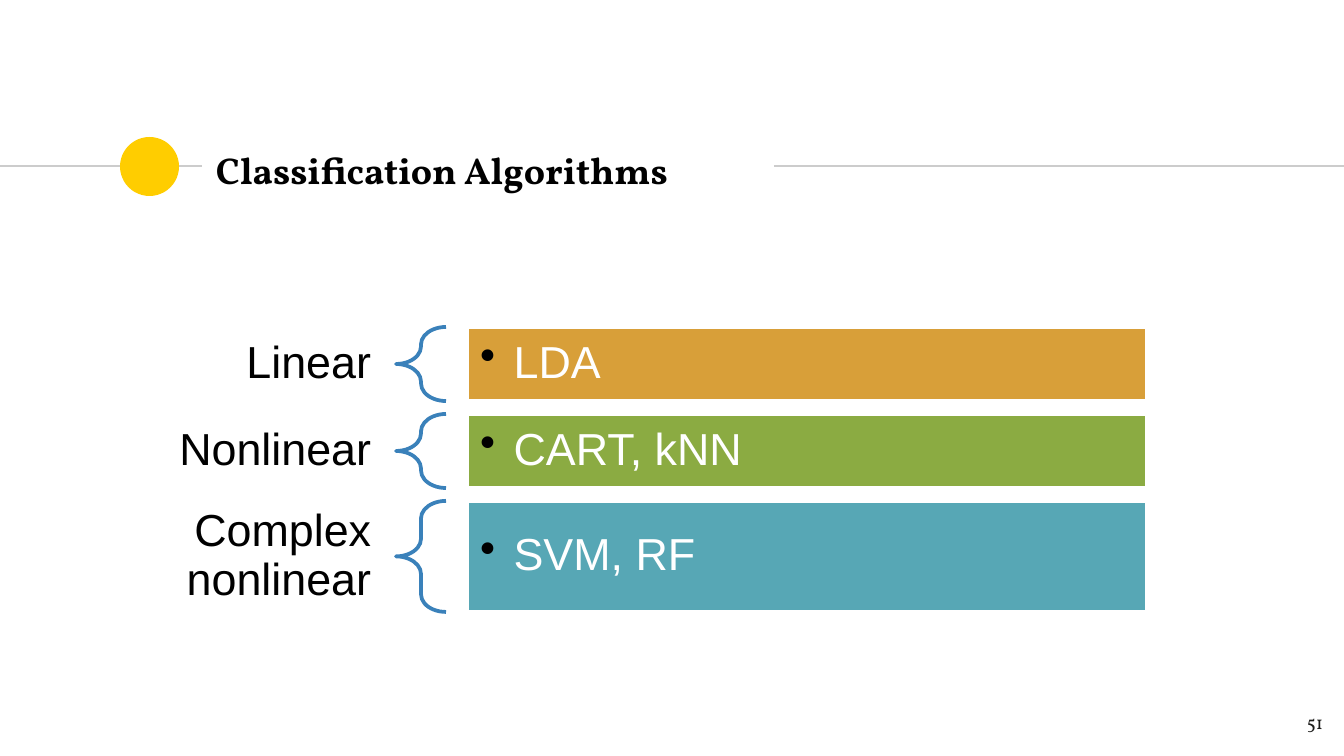
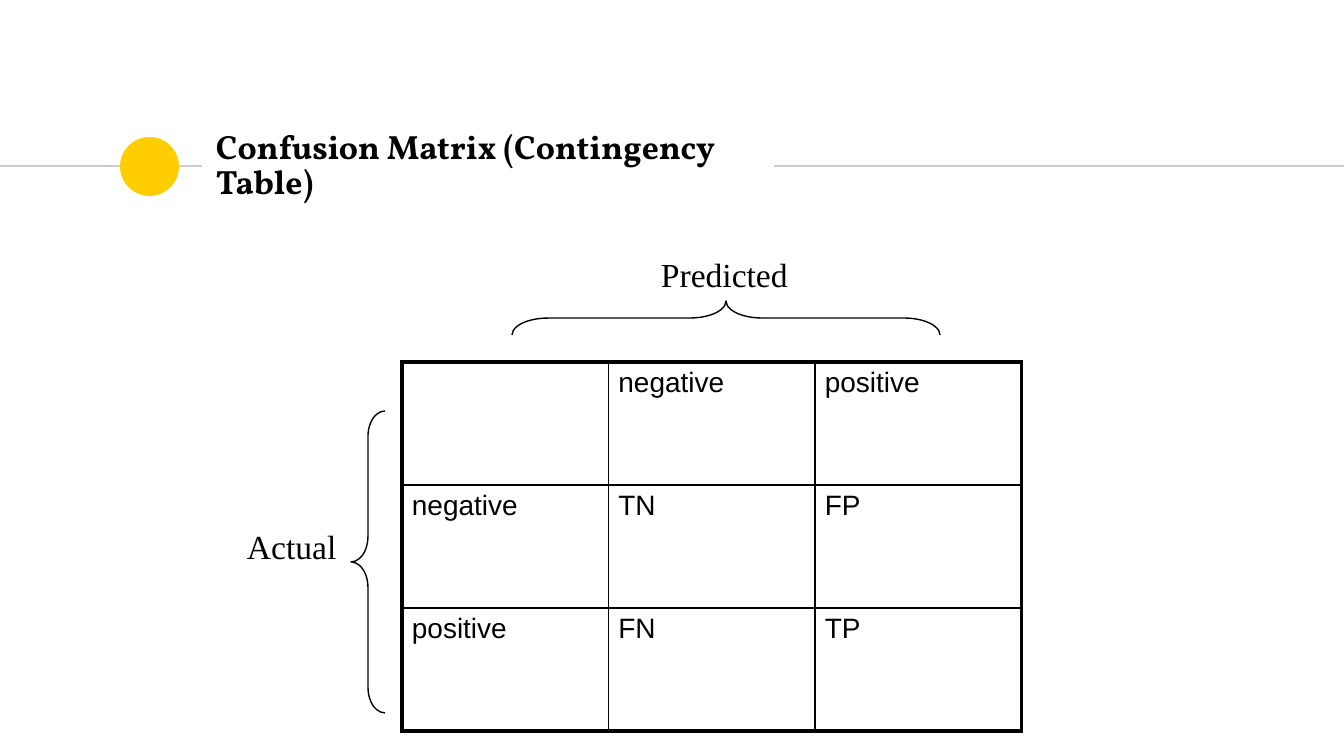
from lxml import etree
from pptx import Presentation
from pptx.dml.color import RGBColor
from pptx.enum.shapes import MSO_CONNECTOR, MSO_SHAPE
from pptx.enum.text import MSO_ANCHOR, MSO_AUTO_SIZE, PP_ALIGN
from pptx.oxml.ns import qn
from pptx.util import Pt

PX = 914400 / 134.4
LEFT, RIGHT = PP_ALIGN.LEFT, PP_ALIGN.RIGHT
TOP, MIDDLE = MSO_ANCHOR.TOP, MSO_ANCHOR.MIDDLE
NO_FIT = MSO_AUTO_SIZE.NONE
STRAIGHT = MSO_CONNECTOR.STRAIGHT
OVAL, RECT, BRACE = MSO_SHAPE.OVAL, MSO_SHAPE.RECTANGLE, MSO_SHAPE.LEFT_BRACE

BLACK = RGBColor(0x00, 0x00, 0x00)
WHITE = RGBColor(0xFF, 0xFF, 0xFF)
INK = RGBColor(0x1D, 0x1D, 0x1B)
GREY = RGBColor(0xCC, 0xCC, 0xCC)
YELLOW = RGBColor(0xFF, 0xCD, 0x00)
BLUE = RGBColor(0x3A, 0x81, 0xBA)
ORANGE = RGBColor(0xD8, 0x9F, 0x39)
GREEN = RGBColor(0x8B, 0xAB, 0x42)
TEAL = RGBColor(0x57, 0xA7, 0xB5)

SERIF, SANS, TIMES = "Vollkorn", "Arial", "Times New Roman"


def draw(slide, kind, box, fill=None, line=None, width=0):
    """Add a shadowless preset shape; box is left, top, width, height in px."""
    shape = slide.shapes.add_shape(kind, *[round(n * PX) for n in box])
    shape.shadow.inherit = False
    if fill is None:
        shape.fill.background()
    else:
        shape.fill.solid()
        shape.fill.fore_color.rgb = fill
    if line is None:
        shape.line.fill.background()
    else:
        shape.line.color.rgb = line
        shape.line.width = Pt(width)
    return shape


def write(frame, text, size, face, color, align=LEFT, anchor=TOP,
          inset=(13, 13), wrap=True):
    """Fill a text frame with one paragraph; inset is side, top in px."""
    frame.auto_size = NO_FIT
    frame.word_wrap = wrap
    frame.vertical_anchor = anchor
    frame.margin_left = frame.margin_right = round(inset[0] * PX)
    frame.margin_top = frame.margin_bottom = round(inset[1] * PX)
    frame.text = text
    para = frame.paragraphs[0]
    para.alignment = align
    para.font.size = Pt(size)
    para.font.name = face
    para.font.color.rgb = color
    return para


deck = Presentation()
deck.slide_width = round(1344 * PX)
deck.slide_height = round(756 * PX)

# Slides with their shared title band
titles = [("Classification Algorithms", 20, 137, 1),
          ("Confusion Matrix (Contingency Table)", 18, 134, 0.88)]
slides = []
for text, size, top, space in titles:
    slide = deck.slides.add_slide(deck.slide_layouts[5])
    slides.append(slide)
    for start, end in [(0, 202), (774, 1344)]:
        rule = slide.shapes.add_connector(
            STRAIGHT, *[round(n * PX) for n in (start, 166, end, 166)])
        rule.line.color.rgb = GREY
        rule.line.width = Pt(0.75)
        etree.SubElement(rule._element.spPr, qn("a:effectLst"))
    draw(slide, OVAL, (120, 137, 59, 59), YELLOW)
    title = slide.shapes.title
    title.left, title.top, title.width, title.height = [
        round(n * PX) for n in (203, top, 570, 65)]
    para = write(title.text_frame, text, size, SERIF, BLACK, anchor=MIDDLE)
    para.font.bold = True
    para.line_spacing = space
types, matrix = slides

# Classification algorithms: label, brace and bar in each row
page = types.shapes.add_textbox(*[round(n * PX) for n in (1255, 698, 81, 58)])
write(page.text_frame, "51", 10, SERIF, INK, RIGHT)

rows = [("Linear", "LDA", ORANGE, 74),
        ("Nonlinear", "CART, kNN", GREEN, 74),
        ("Complex nonlinear", "SVM, RF", TEAL, 111)]
top = 327
for name, text, color, height in rows:
    label = types.shapes.add_textbox(
        *[round(n * PX) for n in (147, top, 250, height)])
    para = write(label.text_frame, name, 24, SANS, BLACK, RIGHT, MIDDLE, (26, 9))
    para.line_spacing = 0.9

    brace = draw(types, BRACE, (396, top, 50, height), None, BLUE, 2)
    brace.adjustments[0] = 0.35

    bar = draw(types, RECT, (467, top, 680, height), color, WHITE, 2)
    para = write(bar.text_frame, text, 24, SANS, WHITE, anchor=MIDDLE)
    para.line_spacing = 0.9
    props = para._p.get_or_add_pPr()
    props.set("marL", "228600")
    props.set("indent", "-228600")
    tint = etree.SubElement(props, qn("a:buClr"))
    etree.SubElement(tint, qn("a:srgbClr"), val=str(BLACK))
    etree.SubElement(props, qn("a:buChar"), char="•")
    top += height + 13

# Confusion matrix
cells = [["", "negative", "positive"],
         ["negative", "TN", "FP"],
         ["positive", "FN", "TP"]]
last = len(cells) - 1
grid = matrix.shapes.add_table(
    3, 3, *[round(n * PX) for n in (402, 362, 620, 369)]).table
grid.first_row = grid.horz_banding = False
for line in grid.columns:
    line.width = round(206.5 * PX)
for line in grid.rows:
    line.height = round(123 * PX)
for r, words in enumerate(cells):
    for c, word in enumerate(words):
        cell = grid.cell(r, c)
        write(cell.text_frame, word, 15, SANS, BLACK)
        cell.margin_left = cell.margin_right = round(10 * PX)
        cell.margin_top = cell.margin_bottom = round(5 * PX)
        props = cell._tc.get_or_add_tcPr()
        edges = {"a:lnL": c == 0, "a:lnR": c == last,
                 "a:lnT": r == 0, "a:lnB": r == last}
        for tag, outer in edges.items():
            edge = etree.SubElement(props, qn(tag), w=str(Pt(2.25 if outer else 1)))
            paint = etree.SubElement(edge, qn("a:solidFill"))
            etree.SubElement(paint, qn("a:srgbClr"), val=str(BLACK))
        cell.fill.background()

# Axis names and their braces
axes = [("Predicted", (648, 247, 156, 54), (709, 104, 34, 428), 1.06, 90),
        ("Actual", (234, 519, 118, 54), (351, 411, 34, 302), 0.75, 0)]
for name, box, span, curve, turn in axes:
    label = matrix.shapes.add_textbox(*[round(n * PX) for n in box])
    write(label.text_frame, name, 18, TIMES, BLACK, inset=(13, 7), wrap=False)
    brace = draw(matrix, BRACE, span, None, BLACK, 0.75)
    brace.adjustments[0] = curve
    brace.rotation = turn

deck.save("out.pptx")
